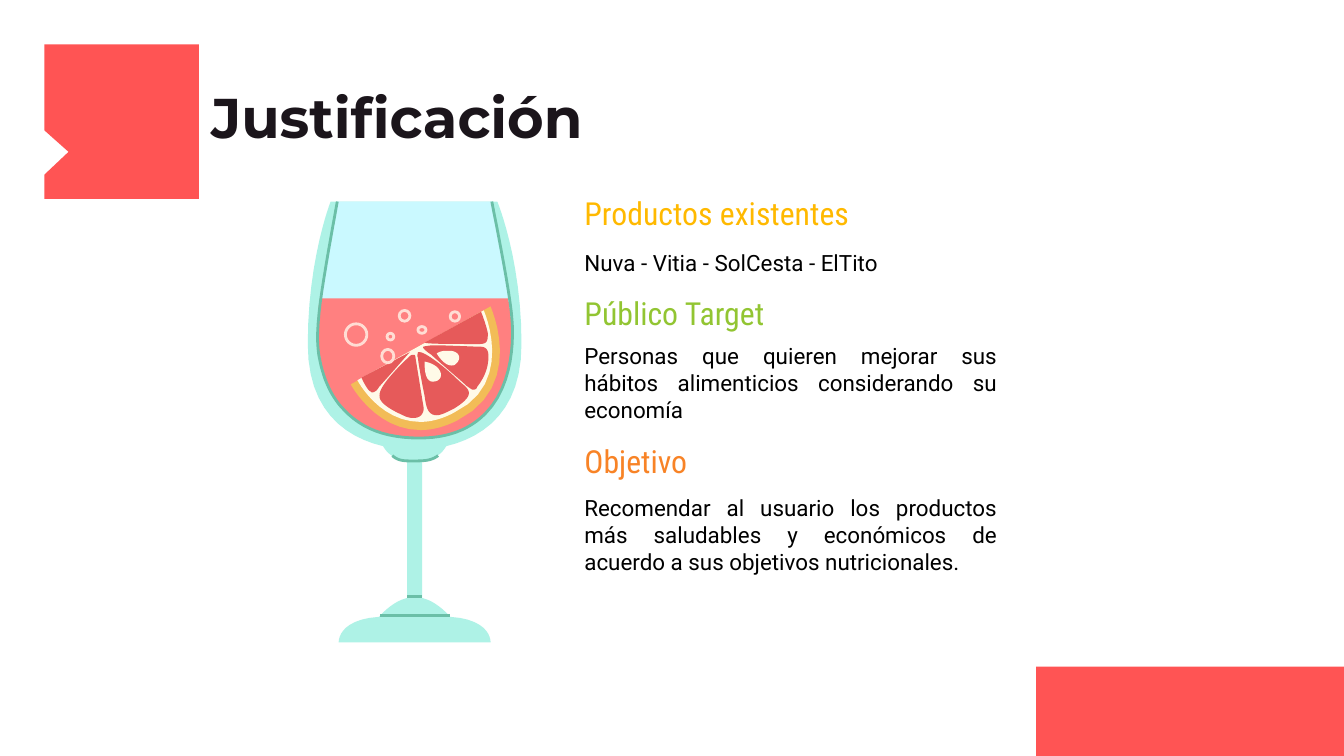
from lxml.etree import SubElement
from pptx import Presentation
from pptx.dml.color import RGBColor
from pptx.enum.shapes import MSO_CONNECTOR, MSO_SHAPE
from pptx.enum.text import MSO_ANCHOR, PP_ALIGN
from pptx.oxml.ns import qn
from pptx.util import Pt

PX = 9144  # 100 px to the inch
CURVE_STEPS = 12
RED, INK, BLACK = "FF5454", "1B151B", "000000"
GLASS, RIM, WATER, LIQUID = "AEF2E6", "6BBFA7", "CAF9FF", "FF8080"
PEEL, PITH, PULP, BUBBLE = "F2BC57", "FFFAE8", "E65A5A", "FFDDD4"

# An outline is a start point, then lines (x, y) and Bezier curves (x1, y1, x2, y2, x, y).
GOBLET = [
    (17, 0), (17, 0, 0, 43, 0, 106), (0, 155, 27, 175, 56, 182), (58, 185, 61, 191, 74, 193),
    (74, 295), (69, 296, 61, 300, 53, 309), (22, 311, 23, 328, 23, 328),
    (136, 328), (136, 328, 137, 311, 106, 309), (98, 300, 90, 296, 85, 295),
    (85, 193), (98, 191, 101, 185, 103, 182), (132, 175, 159, 155, 159, 106),
    (159, 43, 141, 0, 141, 0)]
EMPTY_PART = [(22, 0), (18, 24, 13, 46, 9, 70), (9, 76, 8, 83, 8, 89), (152, 93),
              (152, 82, 150, 71, 148, 60), (147, 54, 140, 18, 137, 0)]
DRINK = [(9, 72), (9, 72, -10, 176, 82, 176), (173, 176, 149, 72, 149, 72)]
SLICE_PEEL = [(136, 78), (32, 136), (32, 136, 50, 170, 84, 170),
              (92, 170, 101, 168, 111, 163), (163, 137, 136, 78, 136, 78)]
SLICE_PITH = [(131, 81), (37, 133), (37, 133, 53, 164, 84, 164),
              (91, 164, 100, 162, 109, 157), (155, 135, 131, 81, 131, 81)]
WEDGES = [
    [(83, 112), (83, 112, 83, 112, 82, 112), (82, 113, 81, 115, 82, 116),
     (82, 119, 85, 135, 87, 145), (88, 152, 89, 159, 96, 159), (99, 159, 103, 157, 109, 154),
     (128, 142, 118, 139, 111, 132), (104, 125, 88, 112, 83, 112)],
    [(78, 114), (78, 114, 77, 114, 76, 115), (75, 116, 67, 123, 59, 133),
     (51, 143, 53, 147, 56, 150), (59, 153, 64, 156, 73, 160), (76, 161, 77, 161, 79, 161),
     (85, 161, 87, 156, 86, 152), (85, 146, 80, 115, 80, 115), (80, 114, 79, 114, 78, 114)],
    [(94, 107), (90, 107, 86, 108, 86, 108), (85, 109, 89, 112, 92, 114),
     (95, 117, 114, 133, 118, 137), (121, 139, 122, 140, 123, 140),
     (125, 140, 126, 139, 126, 138), (130, 133, 133, 127, 134, 121),
     (136, 109, 132, 108, 128, 108), (124, 108, 104, 107, 94, 107)],
    [(129, 82), (87, 105), (90, 106, 106, 106, 118, 106), (122, 106, 126, 106, 128, 106),
     (134, 106, 134, 103, 134, 98), (133, 92, 129, 82, 129, 82)],
    [(76, 112), (40, 131), (40, 131, 43, 138, 46, 141), (47, 141, 47, 142, 48, 142),
     (50, 142, 52, 140, 53, 138), (55, 136, 76, 112, 76, 112)],
]
SEEDS = [
    [(87, 119), (87, 119, 86, 134, 93, 134), (102, 134, 102, 122, 87, 119)],
    [(105, 111), (102, 111, 99, 111, 96, 113), (96, 113, 101, 122, 107, 122),
     (108, 122, 109, 122, 110, 121), (115, 117, 113, 111, 105, 111)],
]
BUBBLES = [(55, 110, 9, 10), (59, 98, 5, 5), (28, 91, 16, 16),
           (82, 93, 6, 5), (68, 81, 8, 8), (106, 82, 7, 7)]
BOWL_EDGE = [(22, 0), (22, 1, 9, 69, 8, 88), (7, 99, 7, 109, 9, 118),
             (12, 133, 18, 146, 27, 155), (40, 169, 58, 176, 83, 176),
             (104, 176, 120, 170, 132, 158), (154, 136, 153, 99, 152, 88),
             (151, 68, 137, 1, 137, 0)]
COLLAR_EDGE = [(63, 189), (67, 193, 72, 193, 78, 193), (86, 193, 92, 193, 97, 189)]
FOOT_EDGES = [(74, 85, 294), (54, 106, 308)]

SECTIONS = [
    ("Productos existentes", "FFB900", (0, 297, 37),
     "Nuva - Vitia - SolCesta - ElTito", PP_ALIGN.LEFT, (38, 35)),
    ("Público Target", "92C532", (74, 249, 38),
     "Personas que quieren mejorar sus hábitos alimenticios considerando su economía",
     PP_ALIGN.JUSTIFY, (112, 65)),
    ("Objetivo", "F88326", (186, 249, 34),
     "Recomendar al usuario los productos más saludables y económicos de acuerdo a sus "
     "objetivos nutricionales.", PP_ALIGN.JUSTIFY, (216, 84)),
]


def px(n):
    return round(n * PX)


def rgb(value):
    return RGBColor.from_string(value)


def paint(sp, fill=None, line=None):
    sp.shadow.inherit = False
    if fill:
        sp.fill.solid()
        sp.fill.fore_color.rgb = rgb(fill)
    else:
        sp.fill.background()
    if line:
        sp.line.color.rgb = rgb(line)
        sp.line.width = Pt(1.5)
    else:
        sp.line.fill.background()


def flatten(outline):
    """Turn lines and curves into a list of points."""
    points = [outline[0]]
    for seg in outline[1:]:
        if len(seg) == 2:
            points.append(seg)
            continue
        (x0, y0), (x1, y1, x2, y2, x3, y3) = points[-1], seg
        for i in range(1, CURVE_STEPS + 1):
            t = i / CURVE_STEPS
            a, b, c, d = (1 - t) ** 3, 3 * t * (1 - t) ** 2, 3 * t * t * (1 - t), t ** 3
            points.append((a * x0 + b * x1 + c * x2 + d * x3,
                           a * y0 + b * y1 + c * y2 + d * y3))
    return points


def add_outline(shapes, x, y, outline, fill=None, line=None):
    """Draw a closed filled outline, or an open stroke when only line is given."""
    points = [(px(x + dx), px(y + dy)) for dx, dy in flatten(outline)]
    builder = shapes.build_freeform(*points[0])
    builder.add_line_segments(points[1:], close=fill is not None)
    paint(builder.convert_to_shape(), fill, line)


def add_text(s, x, y, w, h, text, font, size, color, inset=10, anchor=MSO_ANCHOR.MIDDLE):
    tf = s.shapes.add_textbox(px(x), px(y), px(w), px(h)).text_frame
    tf.word_wrap = True
    tf.vertical_anchor = anchor
    tf.margin_left = tf.margin_right = tf.margin_top = tf.margin_bottom = px(inset)
    p = tf.paragraphs[0]
    p.text = text
    p.font.name, p.font.size, p.font.color.rgb = font, Pt(size), rgb(color)
    return p


def add_notched_square(s, x, y, side):
    add_outline(s.shapes, x, y, [(0, 0), (side, 0), (side, side), (0, side),
                                 (0, side - 18), (18, side - 35), (0, side - 51)], RED)


def add_corner_block(s, x, y, w, h):
    paint(s.shapes.add_shape(MSO_SHAPE.RECTANGLE, px(x), px(y), px(w), px(h)), RED)


def add_title(s, x, y, w, h):
    p = add_text(s, x, y, w, h, "Justificación", "Montserrat", 30, INK, 0, MSO_ANCHOR.BOTTOM)
    p.font.bold = True
    p.line_spacing = 0.8


def add_sections(s, x, y, w):
    for head, color, (head_y, head_w, head_h), body, align, (body_y, body_h) in SECTIONS:
        add_text(s, x, y + head_y, head_w, head_h, head, "Roboto Condensed", 17, color)
        p = add_text(s, x, y + body_y, w, body_h, body, "Roboto", 12, BLACK)
        p.alignment = align


def add_glass(s, x, y):
    """Group a wine glass holding a drink with a citrus slice."""
    shapes = s.shapes.add_group_shape().shapes
    layers = [(GOBLET, GLASS), (EMPTY_PART, WATER), (DRINK, LIQUID),
              (SLICE_PEEL, PEEL), (SLICE_PITH, PITH)]
    layers += [(wedge, PULP) for wedge in WEDGES] + [(seed, PITH) for seed in SEEDS]
    for outline, fill in layers:
        add_outline(shapes, x, y, outline, fill)
    for dx, dy, w, h in BUBBLES:
        paint(shapes.add_shape(MSO_SHAPE.OVAL, px(x + dx), px(y + dy), px(w), px(h)),
              line=BUBBLE)
    for edge in (BOWL_EDGE, COLLAR_EDGE):
        add_outline(shapes, x, y, edge, line=RIM)
    for x1, x2, dy in FOOT_EDGES:
        c = shapes.add_connector(MSO_CONNECTOR.STRAIGHT, px(x + x1), px(y + dy),
                                 px(x + x2), px(y + dy))
        c.line.color.rgb = rgb(RIM)
        c.line.width = Pt(1.5)
        SubElement(c._element.spPr, qn("a:effectLst"))


def main():
    prs = Presentation()
    prs.slide_width = px(1000)
    prs.slide_height = prs.slide_width * 9 // 16
    s = prs.slides.add_slide(prs.slide_layouts[6])
    add_notched_square(s, 33, 33, 115)
    add_corner_block(s, 771, 496, 229, 67)
    add_title(s, 157, 68, 561, 43)
    add_sections(s, 425, 140, 327)
    add_glass(s, 229, 150)
    prs.save("out.pptx")


if __name__ == "__main__":
    main()
